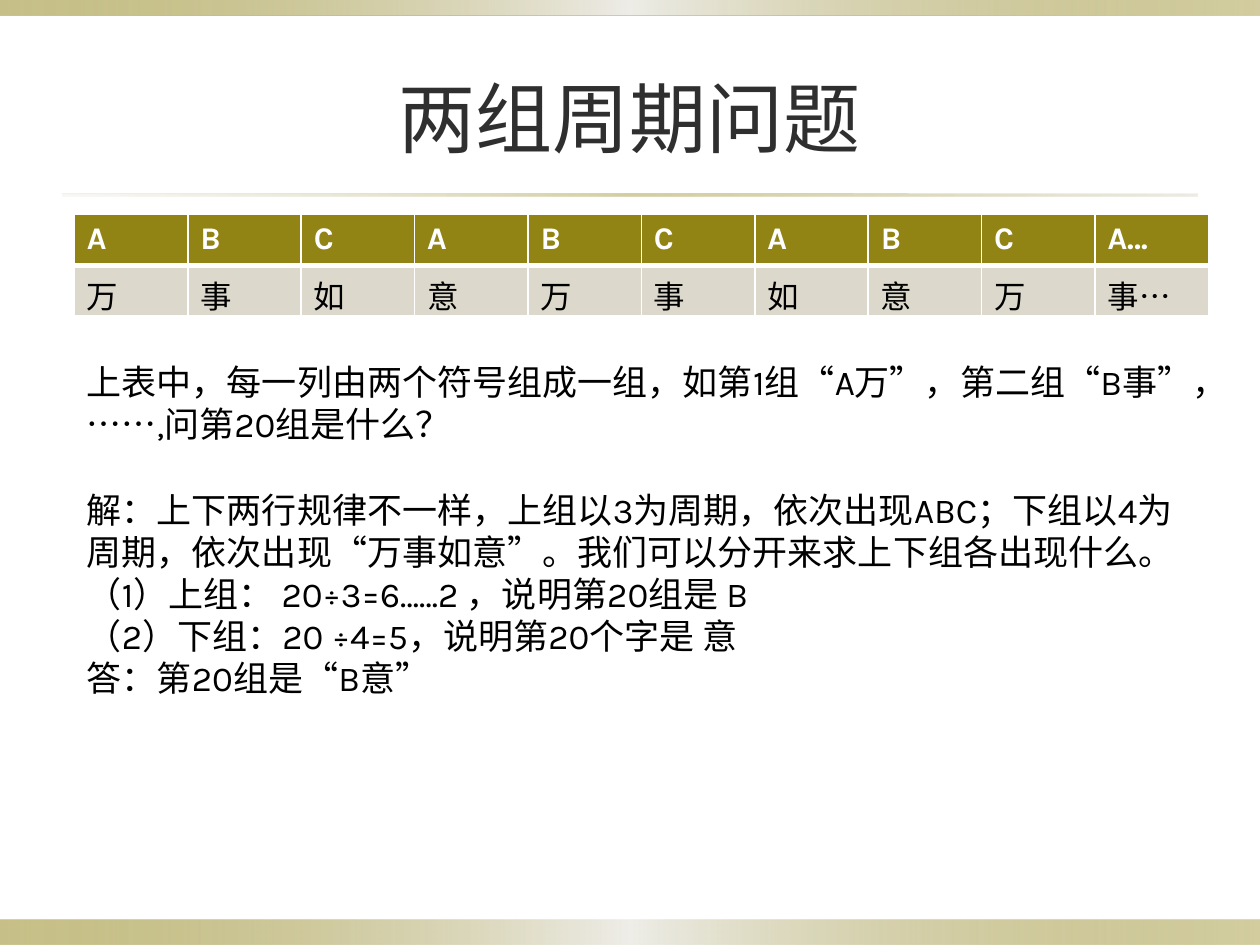
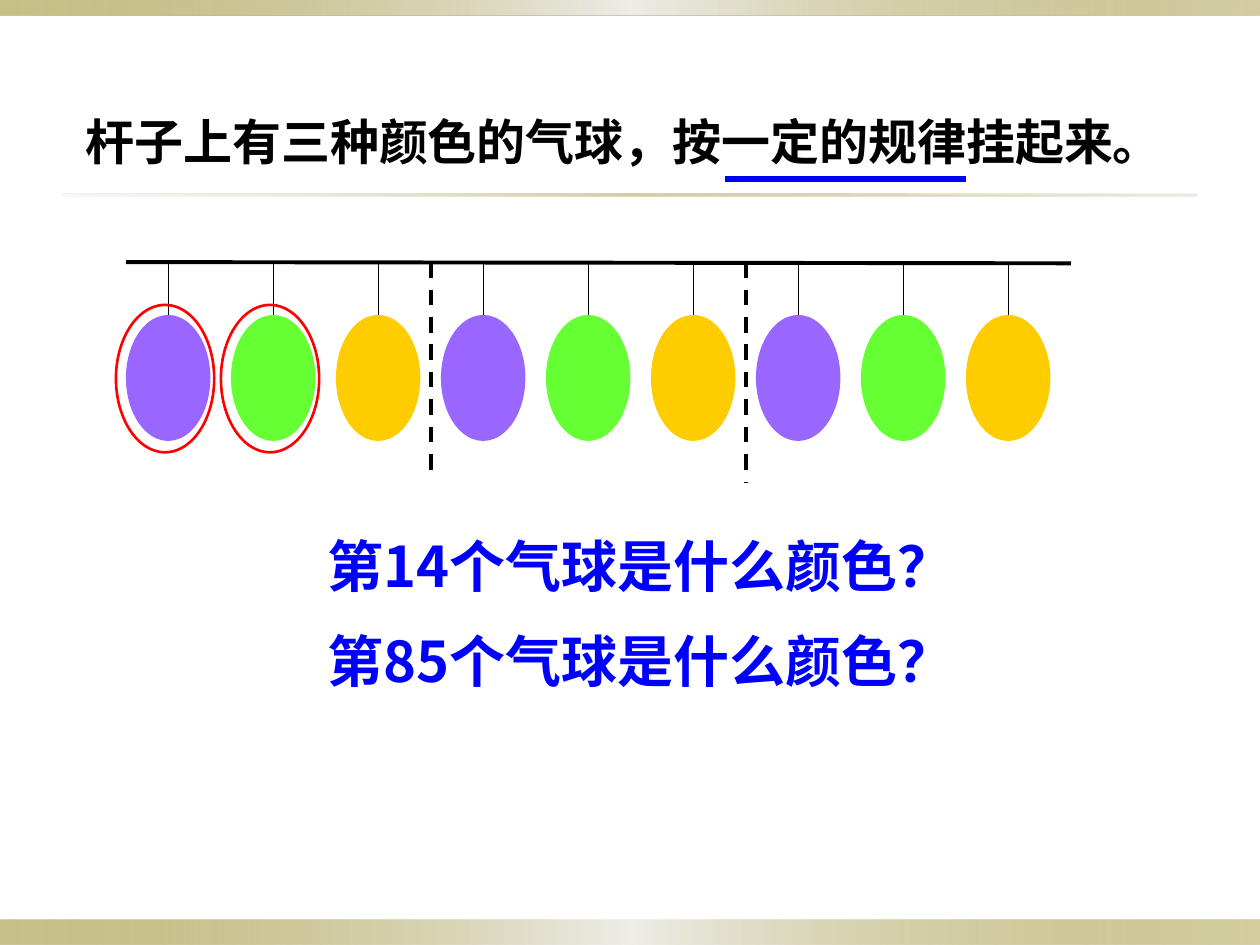
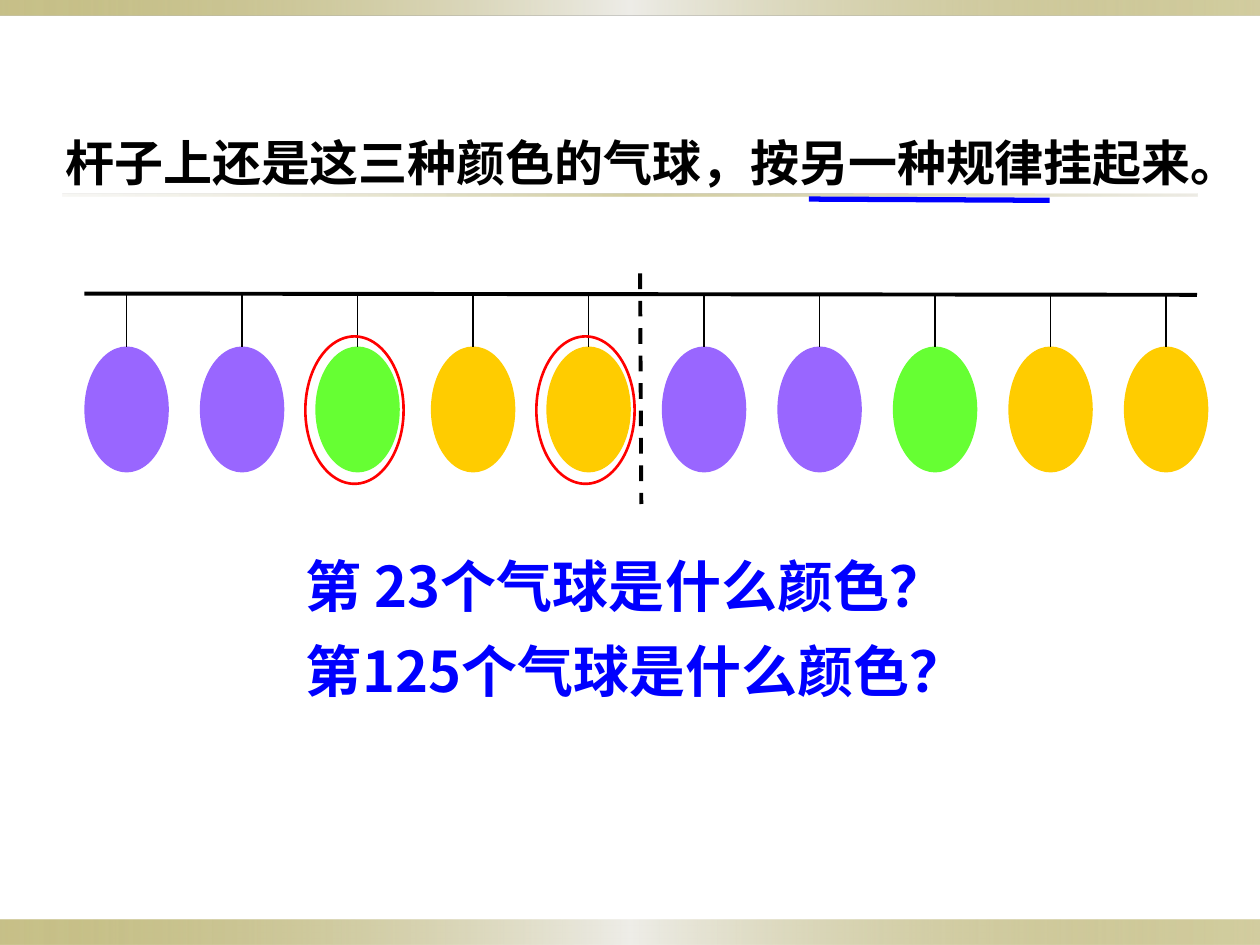
import pptx
import pptx.dml.color
import pptx.enum.dml
import pptx.enum.shapes
import pptx.enum.text
import pptx.oxml
import pptx.oxml.ns
import pptx.util
from lxml import etree
from pptx.dml.color import RGBColor
from pptx.util import Inches

OLIVE = RGBColor(0x91, 0x84, 0x15)
SILVER = RGBColor(0xEE, 0xED, 0xE8)
SAND = RGBColor(0xDC, 0xD9, 0xCC)
CHARCOAL = RGBColor(0x2F, 0x2F, 0x2F)
WHITE = RGBColor(0xFF, 0xFF, 0xFF)
BLACK = RGBColor(0x00, 0x00, 0x00)
BLUE = RGBColor(0x00, 0x00, 0xFF)
RED = RGBColor(0xFF, 0x00, 0x00)
PURPLE = RGBColor(0x99, 0x66, 0xFF)
GREEN = RGBColor(0x66, 0xFF, 0x33)
YELLOW = RGBColor(0xFF, 0xCC, 0x00)

LATIN_FONT = "Karla"
CHINESE_FONT = "Noto Sans CJK SC"
BAND_STOPS = [(0, OLIVE, 50), (50, SILVER, 100), (100, OLIVE, 40)]
RULE_STOPS = [(0, SAND, 20), (50, OLIVE, 40), (100, SAND, 50)]
BALLOON_WIDTH, BALLOON_HEIGHT, STRING_LENGTH = 0.67, 1, 0.42


def style_runs(paragraph, size, color, bold=False, font=LATIN_FONT):
    """Give every run of a paragraph its font, size and colour."""
    for run in paragraph.runs:
        run.font.size = pptx.util.Pt(size)
        run.font.bold = bold
        run.font.color.rgb = color
        run.font.name = font
        east_asian = etree.SubElement(run.font._element, pptx.oxml.ns.qn("a:ea"))
        east_asian.set("typeface", CHINESE_FONT)


def add_text(slide, box, text, size, color, bold=False, font=LATIN_FONT,
             centered=False, middle=False, wrap=True):
    """Add a text box with one paragraph per line of text."""
    shape = slide.shapes.add_textbox(*map(Inches, box))
    text_frame = shape.text_frame
    text_frame.word_wrap = wrap
    text_frame.text = text
    if middle:
        text_frame.vertical_anchor = pptx.enum.text.MSO_ANCHOR.MIDDLE
    for paragraph in text_frame.paragraphs:
        if centered:
            paragraph.alignment = pptx.enum.text.PP_ALIGN.CENTER
        style_runs(paragraph, size, color, bold, font)
    return shape


def add_gradient_bar(slide, box, stops):
    """Add a borderless bar with a horizontal, partly transparent gradient."""
    bar = slide.shapes.add_shape(pptx.enum.shapes.MSO_SHAPE.RECTANGLE, *map(Inches, box))
    bar.shadow.inherit = False
    bar.line.fill.background()
    stop_xml = "".join(
        f'<a:gs pos="{position * 1000}"><a:srgbClr val="{color}">'
        f'<a:alpha val="{opacity * 1000}"/></a:srgbClr></a:gs>'
        for position, color, opacity in stops)
    gradient = pptx.oxml.parse_xml(
        f'<a:gradFill {pptx.oxml.ns.nsdecls("a")} rotWithShape="1">'
        f'<a:gsLst>{stop_xml}</a:gsLst><a:lin ang="0" scaled="0"/></a:gradFill>')
    bar._element.spPr.find(pptx.oxml.ns.qn("a:prstGeom")).addnext(gradient)


def add_themed_slide(presentation):
    """Add a blank slide with the shared bands and title rule."""
    slide = presentation.slides.add_slide(presentation.slide_layouts[6])
    add_gradient_bar(slide, (0, 7.3, 10, 0.2), BAND_STOPS)
    add_gradient_bar(slide, (0, 0, 10, 0.12), BAND_STOPS)
    add_gradient_bar(slide, (0.5, 1.54, 9, 0.02), RULE_STOPS)
    return slide


def add_line(shapes, start, end, color, width, dashed=False):
    """Add a straight line without a shadow."""
    line = shapes.add_connector(pptx.enum.shapes.MSO_CONNECTOR.STRAIGHT,
                                *map(Inches, (*start, *end)))
    line.line.color.rgb = color
    line.line.width = pptx.util.Pt(width)
    if dashed:
        line.line.dash_style = pptx.enum.dml.MSO_LINE.DASH
    etree.SubElement(line._element.spPr, pptx.oxml.ns.qn("a:effectLst"))
    return line


def add_ellipse(shapes, box, fill=None, outline=None):
    """Add an ellipse that is either filled or outlined."""
    ellipse = shapes.add_shape(pptx.enum.shapes.MSO_SHAPE.OVAL, *map(Inches, box))
    ellipse.shadow.inherit = False
    if fill is None:
        ellipse.fill.background()
    else:
        ellipse.fill.solid()
        ellipse.fill.fore_color.rgb = fill
    if outline is None:
        ellipse.line.fill.background()
    else:
        ellipse.line.color.rgb = outline
        ellipse.line.width = pptx.util.Pt(1.5)
    return ellipse


def add_balloons(slide, left, pole_right, pole_top, pitch, colors, circled):
    """Hang a row of balloons from a pole and circle the chosen ones."""
    add_line(slide.shapes, (left, pole_top), (pole_right, pole_top + 0.01), BLACK, 2.25)
    top = pole_top + STRING_LENGTH
    for index, color in enumerate(colors):
        balloon_left = left + index * pitch
        center = balloon_left + BALLOON_WIDTH / 2
        group = slide.shapes.add_group_shape()
        balloon = add_ellipse(group.shapes, (balloon_left, top, BALLOON_WIDTH, BALLOON_HEIGHT), color)
        string = add_line(group.shapes, (center, pole_top), (center, top), BLACK, 0.75)
        string.end_connect(balloon, 0)
    for index in circled:
        add_ellipse(slide.shapes, (left + index * pitch - 0.08, top - 0.08, 0.78, 1.17), outline=RED)


def add_questions(slide, left, top, pitch, width, questions, wrap):
    """Stack the blue questions below the balloons."""
    for index, question in enumerate(questions):
        add_text(slide, (left, top + index * pitch, width, 0.63), question, 32, BLUE,
                 bold=True, font=CHINESE_FONT, wrap=wrap)


def set_cell_borders(cell, widths):
    """Draw white cell borders, given a width in points for each side."""
    properties = cell._tc.get_or_add_tcPr()
    for position, (side, width) in enumerate(widths.items()):
        properties.insert(position, pptx.oxml.parse_xml(
            f'<a:ln{side} {pptx.oxml.ns.nsdecls("a")} w="{pptx.util.Pt(width)}">'
            f'<a:solidFill><a:srgbClr val="{WHITE}"/></a:solidFill></a:ln{side}>'))


def add_symbol_table(slide, box, rows):
    """Add the table of symbols with a dark header row."""
    table = slide.shapes.add_table(len(rows), len(rows[0]), *map(Inches, box)).table
    for row_index, values in enumerate(rows):
        header = row_index == 0
        for column_index, value in enumerate(values):
            cell = table.cell(row_index, column_index)
            cell.text = value
            cell.fill.solid()
            cell.fill.fore_color.rgb = OLIVE if header else SAND
            style_runs(cell.text_frame.paragraphs[0], 18, WHITE if header else BLACK, header)
            set_cell_borders(cell, {"L": 1, "R": 1, "T": 1 if header else 3, "B": 3 if header else 1})


def build_two_cycles(presentation):
    """Build the slide on two cycles running side by side."""
    slide = add_themed_slide(presentation)
    add_text(slide, (0.5, 0.3, 9, 1.25), "两组周期问题", 44, CHARCOAL, centered=True, middle=True)
    add_symbol_table(slide, (0.59, 1.7, 9, 0.81),
                     [[*"ABCABCABC", "A…"], [*"万事如意万事如意万", "事…"]])
    add_text(slide, (0.59, 2.81, 9.06, 0.77),
             "上表中，每一列由两个符号组成一组，如第1组“A万”，第二组“B事”，……,问第20组是什么？",
             20, BLACK)
    add_text(slide, (0.59, 3.83, 9.06, 1.78),
             "解：上下两行规律不一样，上组以3为周期，依次出现ABC；下组以4为周期，"
             "依次出现“万事如意”。我们可以分开来求上下组各出现什么。\n"
             "（1）上组： 20÷3=6……2 ，说明第20组是 B\n"
             "（2）下组：20 ÷4=5，说明第20个字是 意\n"
             "答：第20组是“B意”", 20, BLACK)


def build_cycle_of_three(presentation):
    """Build the slide with balloons repeating every three."""
    slide = add_themed_slide(presentation)
    add_text(slide, (0.58, 0.83, 8.42, 0.57), "杆子上有三种颜色的气球，按一定的规律挂起来。",
             28, BLACK, bold=True, middle=True)
    add_line(slide.shapes, (5.75, 1.42), (7.67, 1.42), BLUE, 3)
    add_balloons(slide, 1, 8.5, 2.08, 2.5 / 3, [PURPLE, GREEN, YELLOW] * 3, circled=(0, 1))
    add_line(slide.shapes, (3.42, 2.08), (3.42, 3.75), BLACK, 2.25, dashed=True)
    add_line(slide.shapes, (5.92, 2.08), (5.92, 3.83), BLACK, 2.25, dashed=True)
    add_questions(slide, 2.5, 4.17, 0.75, 5.92,
                  ["第14个气球是什么颜色？", "第85个气球是什么颜色？"], wrap=True)


def build_cycle_of_five(presentation):
    """Build the slide with balloons repeating every five."""
    slide = add_themed_slide(presentation)
    add_text(slide, (0.42, 1, 9.42, 0.57), "杆子上还是这三种颜色的气球，按另一种规律挂起来。",
             28, BLACK, bold=True, middle=True)
    add_line(slide.shapes, (6.42, 1.58), (8.33, 1.59), BLUE, 3)
    add_balloons(slide, 0.67, 9.5, 2.33, 5.5 / 6,
                 [PURPLE, PURPLE, GREEN, YELLOW, YELLOW] * 2, circled=(2, 4))
    add_line(slide.shapes, (5.08, 2.17), (5.09, 4), BLACK, 2.25, dashed=True)
    add_questions(slide, 2.33, 4.33, 0.67, 5.31,
                  ["第 23个气球是什么颜色？", "第125个气球是什么颜色？"], wrap=False)


def main():
    """Build the presentation and save it."""
    presentation = pptx.Presentation()
    presentation.slide_width = Inches(10)
    presentation.slide_height = Inches(7.5)
    build_two_cycles(presentation)
    build_cycle_of_three(presentation)
    build_cycle_of_five(presentation)
    presentation.save("out.pptx")


if __name__ == "__main__":
    main()
